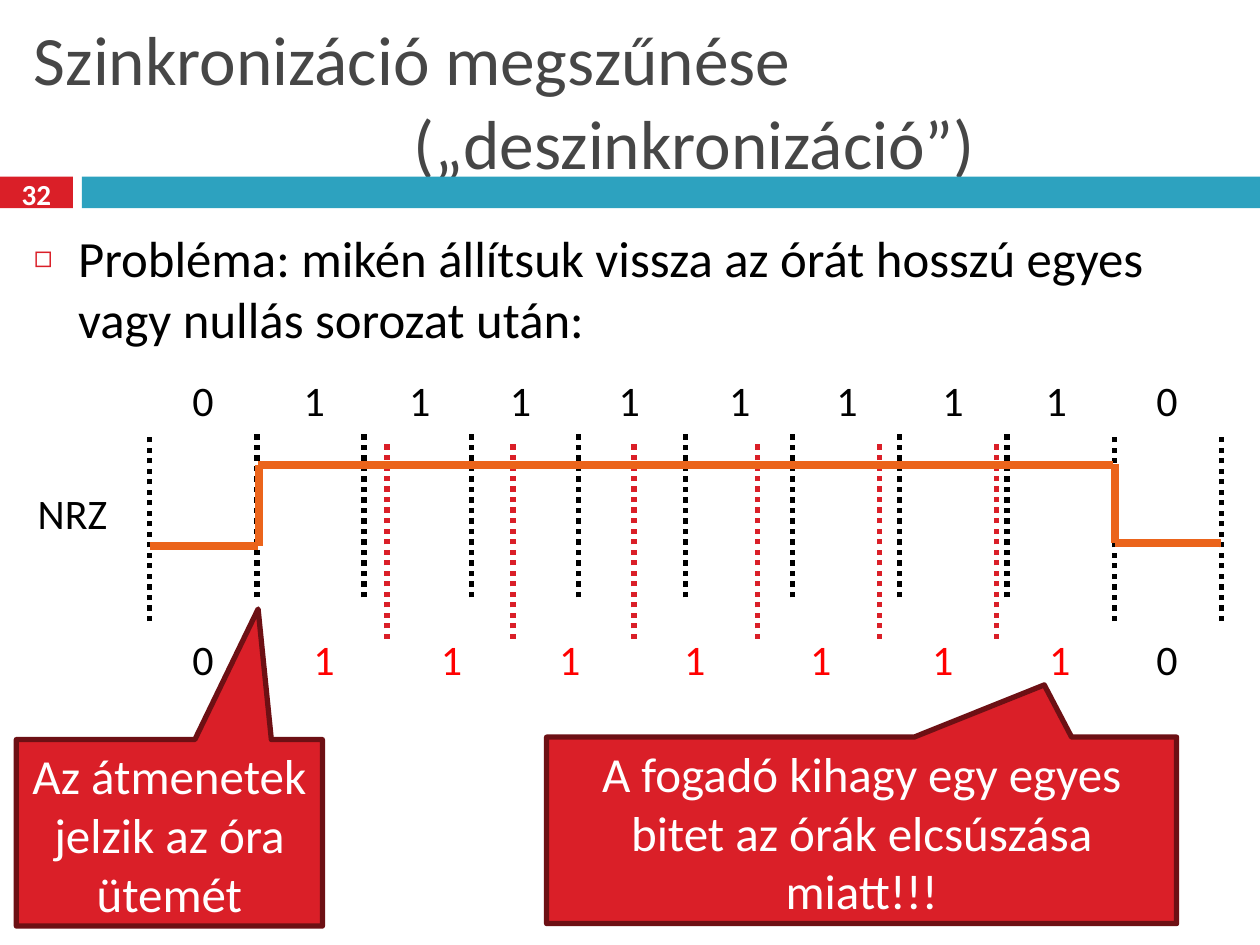
import pptx
import pptx.util
import pptx.dml.color
import pptx.enum.dml
import pptx.enum.shapes
import pptx.enum.text
import pptx.oxml
import pptx.oxml.ns
import lxml.etree

Cm = pptx.util.Cm
Pt = pptx.util.Pt
RGBColor = pptx.dml.color.RGBColor
MSO_SHAPE = pptx.enum.shapes.MSO_SHAPE
PP_ALIGN = pptx.enum.text.PP_ALIGN
MSO_ANCHOR = pptx.enum.text.MSO_ANCHOR
MSO_AUTO_SIZE = pptx.enum.text.MSO_AUTO_SIZE
qn = pptx.oxml.ns.qn

RED = RGBColor(0xDA, 0x1F, 0x28)
DARK_RED = RGBColor(0x6D, 0x10, 0x14)
BRIGHT_RED = RGBColor(0xFF, 0x00, 0x00)
TEAL = RGBColor(0x2D, 0xA2, 0xBF)
ORANGE = RGBColor(0xEB, 0x64, 0x1B)
GREY = RGBColor(0x46, 0x46, 0x46)
BLACK = RGBColor(0x00, 0x00, 0x00)
WHITE = RGBColor(0xFF, 0xFF, 0xFF)

prs = pptx.Presentation()
prs.slide_width = Cm(25.4)
prs.slide_height = Cm(19.05)
s = prs.slides.add_slide(prs.slide_layouts[1])


def add_line(x1, y1, x2, y2, color, width, dash=None):
    line = s.shapes.add_connector(
        pptx.enum.shapes.MSO_CONNECTOR.STRAIGHT, Cm(x1), Cm(y1), Cm(x2), Cm(y2))
    line.line.color.rgb = color
    line.line.width = Pt(width)
    if dash:
        line.line.dash_style = dash
    lxml.etree.SubElement(line._element.spPr, qn("a:effectLst"))


def add_run(p, text, size, color, bold=False):
    r = p.add_run()
    r.text = text
    r.font.name = "Calibri"
    r.font.size = Pt(size)
    r.font.color.rgb = color
    r.font.bold = bold


for left, width, color in [(0, 1.47, RED), (1.65, 23.75, TEAL)]:
    sp = s.shapes.add_shape(MSO_SHAPE.RECTANGLE, Cm(left), Cm(3.56), Cm(width), Cm(0.64))
    sp.shadow.inherit = False
    sp.fill.solid()
    sp.fill.fore_color.rgb = color
    sp.line.fill.background()

sp = s.shapes.add_textbox(Cm(0), Cm(3.48), Cm(1.47), Cm(0.84))
tf = sp.text_frame
tf.word_wrap = True
tf.vertical_anchor = MSO_ANCHOR.MIDDLE
tf.paragraphs[0].alignment = PP_ALIGN.CENTER
add_run(tf.paragraphs[0], "32", 16.6, WHITE, True)

title = s.shapes.title
title.left, title.top, title.width, title.height = Cm(0.43), Cm(0.64), Cm(24.56), Cm(2.74)
tf = title.text_frame
tf.auto_size = MSO_AUTO_SIZE.NONE
tf.vertical_anchor = MSO_ANCHOR.MIDDLE
for i, text in enumerate(["Szinkronizáció megszűnése", "(„deszinkronizáció”)"]):
    p = tf.add_paragraph() if i else tf.paragraphs[0]
    p.alignment = PP_ALIGN.LEFT
    p._p.get_or_add_pPr().set("marL", str(Cm(7.65) * i))
    add_run(p, text, 39.6, GREY)

body = s.placeholders[1]
body.left, body.top, body.width, body.height = Cm(0.43), Cm(4.45), Cm(24.56), Cm(14.17)
tf = body.text_frame
tf.auto_size = MSO_AUTO_SIZE.NONE
p = tf.paragraphs[0]
pPr = p._p.get_or_add_pPr()
pPr.set("marL", str(Cm(0.89)))
pPr.set("indent", str(-Cm(0.89)))
color = lxml.etree.SubElement(pPr, qn("a:buClr"))
lxml.etree.SubElement(color, qn("a:srgbClr"), val=str(RED))
lxml.etree.SubElement(pPr, qn("a:buSzPct"), val="60000")
lxml.etree.SubElement(pPr, qn("a:buChar"), char="◻")
p.space_before = Pt(0)
add_run(p, "Probléma: mikén állítsuk vissza az órát hosszú egyes vagy nullás sorozat után:",
        29, BLACK)

DOTTED = pptx.enum.dml.MSO_LINE.ROUND_DOT
for x in [7.8, 10.34, 12.78, 15.27, 17.73, 20.09]:
    add_line(x, 12.88, x, 8.94, RED, 3, DOTTED)
for i in range(11):
    x = 3.02 + 2.16 * i
    bottom = 12.52 if i in (0, 9, 10) else 12.04
    add_line(x, bottom, x, 8.71, BLACK, 3, DOTTED)

signal = [
    (3.02, 11, 5.21, 11),
    (5.23, 11, 5.23, 9.37),
    (5.21, 9.37, 22.43, 9.37),
    (22.48, 9.35, 22.48, 10.95),
    (22.48, 10.95, 24.61, 10.95),
]
for x1, y1, x2, y2 in signal:
    add_line(x1, y1, x2, y2, ORANGE, 4.5)

sent = [3.63, 5.87, 8, 10.03, 12.22, 14.45, 16.61, 18.75, 20.83, 23.06]
received = [3.63, 6.07, 8.64, 11.02, 13.54, 16.08, 18.54, 20.9, 23.06]
labels = [("NRZ", 0.51, 9.7, 1.93, BLACK)]
for lefts, top, one_color in [(sent, 7.42, BLACK), (received, 12.64, BRIGHT_RED)]:
    for left in lefts:
        if left in (lefts[0], lefts[-1]):
            labels.append(("0", left, top, 0.99, BLACK))
        else:
            labels.append(("1", left, top, 0.99, one_color))
for text, left, top, width, color in labels:
    sp = s.shapes.add_textbox(Cm(left), Cm(top), Cm(width), Cm(1.27))
    tf = sp.text_frame
    tf.word_wrap = False
    tf.auto_size = MSO_AUTO_SIZE.SHAPE_TO_FIT_TEXT
    add_run(tf.paragraphs[0], text, 24, color)

callouts = [
    ("Az átmenetek jelzik az óra ütemét", 0.33, 14.91, 6.17, 0.29, -1.2),
    ("A fogadó kihagy egy egyes bitet az órák elcsúszása miatt!!!",
     11.02, 14.86, 12.7, 0.29, -0.78),
]
for text, left, top, width, tip_x, tip_y in callouts:
    sp = s.shapes.add_shape(MSO_SHAPE.RECTANGULAR_CALLOUT,
                            Cm(left), Cm(top), Cm(width), Cm(3.76))
    sp.adjustments[0] = tip_x
    sp.adjustments[1] = tip_y
    sp.shadow.inherit = False
    sp.fill.solid()
    sp.fill.fore_color.rgb = RED
    sp.line.color.rgb = DARK_RED
    sp.line.width = Pt(3)
    tf = sp.text_frame
    tf.word_wrap = True
    tf.vertical_anchor = MSO_ANCHOR.TOP
    tf.paragraphs[0].alignment = PP_ALIGN.CENTER
    add_run(tf.paragraphs[0], text, 28, WHITE)

prs.save("out.pptx")
